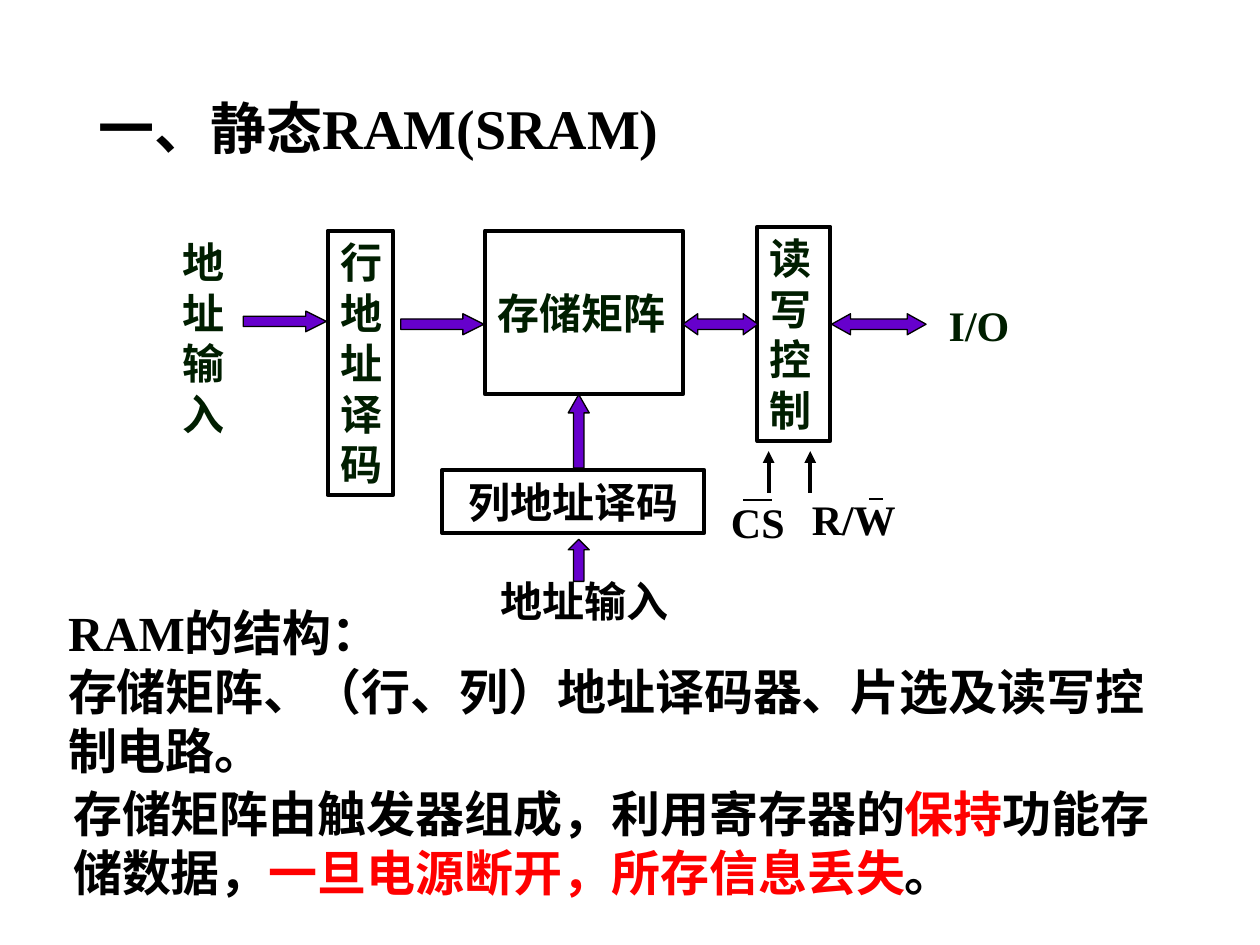
from dataclasses import dataclass
from typing import NamedTuple

from lxml.etree import SubElement
from pptx import Presentation
from pptx.dml.color import RGBColor
from pptx.enum.shapes import MSO_CONNECTOR, MSO_SHAPE
from pptx.enum.text import MSO_ANCHOR, MSO_AUTO_SIZE, PP_ALIGN
from pptx.oxml.ns import qn
from pptx.util import Pt


@dataclass(frozen=True)
class Theme:
    font: str = "Times New Roman"
    black: RGBColor = RGBColor(0, 0, 0)
    green: RGBColor = RGBColor(0x00, 0x1E, 0x00)
    purple: RGBColor = RGBColor(0x66, 0x00, 0xCC)
    red: RGBColor = RGBColor(0xFF, 0, 0)
    title_size: float = 32
    body_size: float = 28
    label_size: float = 24
    thick: float = 2.25
    thin: float = 0.75


THEME = Theme()


class Area(NamedTuple):
    left: float
    top: float
    width: float
    height: float

    def lengths(self) -> list:
        return [Pt(value) for value in self]


class Label(NamedTuple):
    text: str
    area: Area
    color: RGBColor = THEME.black
    align: PP_ALIGN = PP_ALIGN.LEFT
    anchor: MSO_ANCHOR = MSO_ANCHOR.TOP


class Arrow(NamedTuple):
    kind: MSO_SHAPE
    area: Area
    head: float


class Span(NamedTuple):
    text: str
    color: RGBColor = THEME.black


class Signal(NamedTuple):
    label: Label
    bar_left: float
    bar_right: float
    bar_y: float


def style_font(font, size: float, color: RGBColor) -> None:
    font.name = THEME.font
    font.size = Pt(size)
    font.bold = True
    font.color.rgb = color


def write_label(box, label: Label) -> None:
    frame = box.text_frame
    frame.word_wrap = True
    frame.vertical_anchor = label.anchor
    frame.text = label.text
    for para in frame.paragraphs:
        para.alignment = label.align
        for run in para.runs:
            style_font(run.font, THEME.label_size, label.color)


def draw_label(shapes, label: Label) -> None:
    write_label(shapes.add_textbox(*label.area.lengths()), label)


def draw_block(shapes, label: Label) -> None:
    box = shapes.add_shape(MSO_SHAPE.RECTANGLE, *label.area.lengths())
    box.shadow.inherit = False
    box.fill.background()
    box.line.color.rgb = THEME.black
    box.line.width = Pt(THEME.thick)
    write_label(box, label)


def draw_arrow(shapes, arrow: Arrow) -> None:
    box = shapes.add_shape(arrow.kind, *arrow.area.lengths())
    box.shadow.inherit = False
    box.fill.solid()
    box.fill.fore_color.rgb = THEME.purple
    box.line.color.rgb = THEME.black
    box.line.width = Pt(THEME.thin)
    box.adjustments[0] = 0.5
    box.adjustments[1] = arrow.head


def draw_line(shapes, x1: float, y1: float, x2: float, y2: float,
              width: float, arrowhead: bool = False) -> None:
    line = shapes.add_connector(MSO_CONNECTOR.STRAIGHT, Pt(x1), Pt(y1), Pt(x2), Pt(y2))
    line.line.color.rgb = THEME.black
    line.line.width = Pt(width)
    properties = line._element.spPr
    if arrowhead:
        SubElement(properties.find(qn("a:ln")), qn("a:tailEnd"), type="triangle")
    SubElement(properties, qn("a:effectLst"))


def fill_placeholder(box, area: Area, size: float, lines: list[list[Span]]) -> None:
    box.left, box.top, box.width, box.height = area.lengths()
    frame = box.text_frame
    frame.text = "\n".join("" for _ in lines)
    frame.word_wrap = True
    frame.auto_size = MSO_AUTO_SIZE.NONE
    frame.vertical_anchor = MSO_ANCHOR.TOP
    for para, spans in zip(frame.paragraphs, lines):
        para.alignment = PP_ALIGN.LEFT
        para.space_before = Pt(0)
        properties = para._p.get_or_add_pPr()
        properties.set("marL", "0")
        properties.set("indent", "0")
        SubElement(properties, qn("a:buNone"))
        for span in spans:
            run = para.add_run()
            run.text = span.text
            style_font(run.font, size, span.color)


CENTER, MIDDLE = PP_ALIGN.CENTER, MSO_ANCHOR.MIDDLE
GREEN, BLACK = THEME.green, THEME.black

BLOCKS = [
    Label("存储矩阵", Area(277.2, 131.8, 113, 93.6), GREEN, anchor=MIDDLE),
    Label("行地址译码", Area(187.2, 131.8, 37.4, 151.2), GREEN),
    Label("读\n写\n控\n制", Area(432.7, 129.6, 41.8, 122.4), GREEN),
    Label("列地址译码", Area(252.7, 268.6, 149.8, 36), BLACK, CENTER, MIDDLE),
]
LABELS = [
    Label("地址输入", Area(97.2, 131.8, 30.2, 122.4), GREEN),
    Label("I/O", Area(535, 167.8, 77.8, 36), GREEN),
    Label("地址输入", Area(259.2, 325.4, 149.8, 36), BLACK, CENTER),
]
ARROWS = [
    Arrow(MSO_SHAPE.RIGHT_ARROW, Area(139, 177.8, 47.5, 11.8), 1),
    Arrow(MSO_SHAPE.RIGHT_ARROW, Area(229, 179.3, 47.5, 12), 1),
    Arrow(MSO_SHAPE.LEFT_RIGHT_ARROW, Area(390.2, 179.3, 43, 12), 0.71),
    Arrow(MSO_SHAPE.LEFT_RIGHT_ARROW, Area(475.2, 179.3, 54, 12), 0.9),
    Arrow(MSO_SHAPE.UP_ARROW, Area(324.7, 225.4, 12, 42), 0.88),
    Arrow(MSO_SHAPE.UP_ARROW, Area(324.7, 308.2, 12, 24), 0.5),
]
SIGNALS = [
    Signal(Label("CS", Area(408.2, 280, 49.7, 36), BLACK, CENTER), 424.8, 441.4, 285.8),
    Signal(Label("R/W", Area(445, 278.6, 85.7, 36), BLACK, CENTER), 496.8, 504.7, 285.1),
]
STRUCTURE = [
    [Span("RAM的结构：")],
    [Span("存储矩阵、（行、列）地址译码器、片选及读写控制电路。")],
]
RETENTION = [[
    Span("存储矩阵由触发器组成，利用寄存器的"),
    Span("保持", THEME.red),
    Span("功能存储数据，"),
    Span("一旦电源断开，所存信息丢失", THEME.red),
    Span("。"),
]]


def main() -> None:
    deck = Presentation()
    deck.slide_width, deck.slide_height = Pt(720), Pt(540)
    page = deck.slides.add_slide(deck.slide_layouts[3])
    shapes = page.shapes

    # Title and explanatory text
    title, structure, retention = page.placeholders
    fill_placeholder(title, Area(49, 49.7, 367.2, 46), THEME.title_size,
                     [[Span("一、静态RAM(SRAM)")]])
    fill_placeholder(structure, Area(31.7, 340.6, 651.6, 108), THEME.body_size, STRUCTURE)
    fill_placeholder(retention, Area(34.6, 444.2, 642.2, 75), THEME.body_size, RETENTION)

    # Block diagram
    for block in BLOCKS:
        draw_block(shapes, block)
    for label in LABELS:
        draw_label(shapes, label)
    for arrow in ARROWS:
        draw_arrow(shapes, arrow)

    # Control inputs and their overlined names
    for x in (439.2, 463):
        draw_line(shapes, x, 281.5, x, 257.8, THEME.thick, arrowhead=True)
    for signal in SIGNALS:
        group = shapes.add_group_shape()
        draw_label(group.shapes, signal.label)
        draw_line(group.shapes, signal.bar_left, signal.bar_y,
                  signal.bar_right, signal.bar_y, THEME.thin)

    deck.save("out.pptx")


if __name__ == "__main__":
    main()
